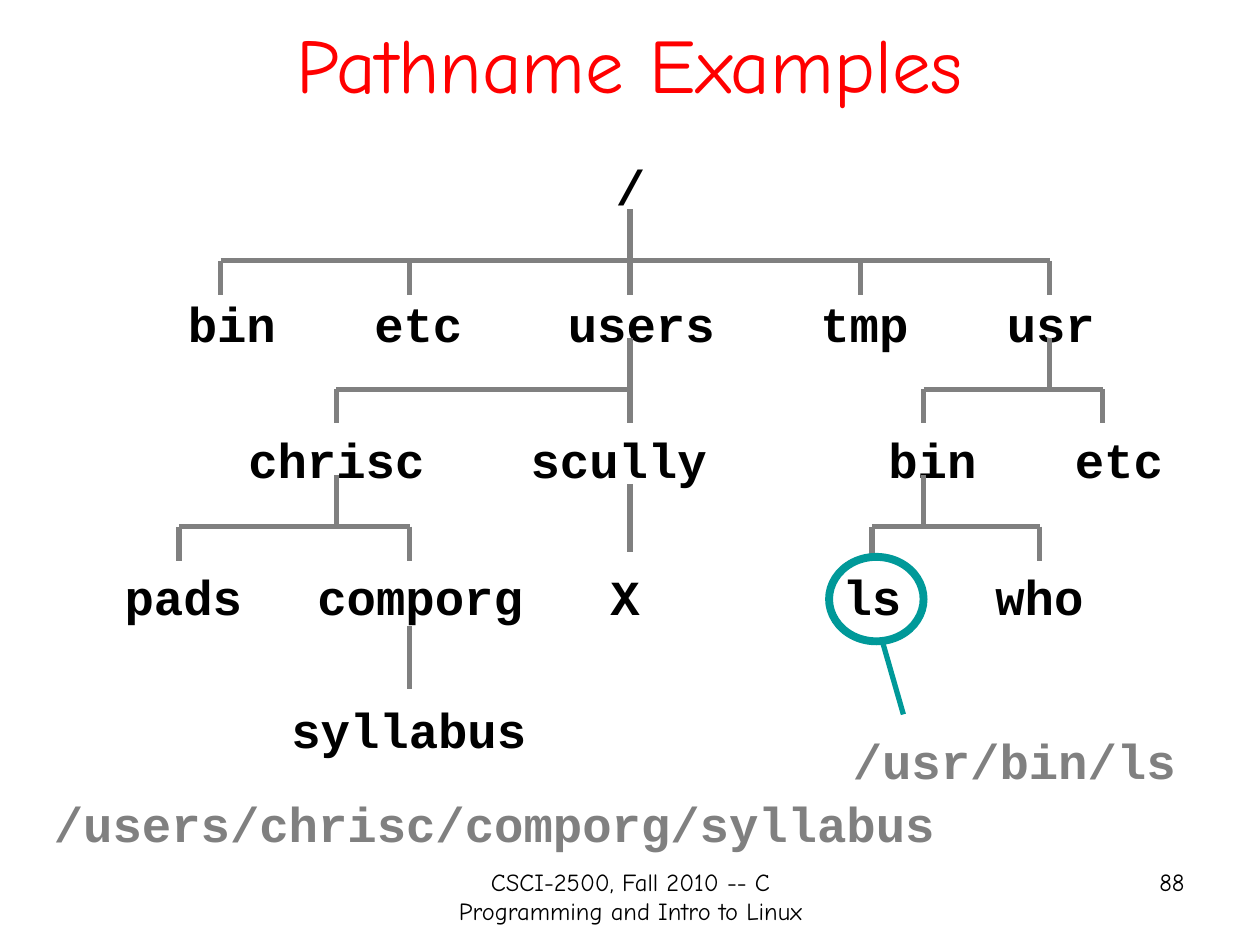
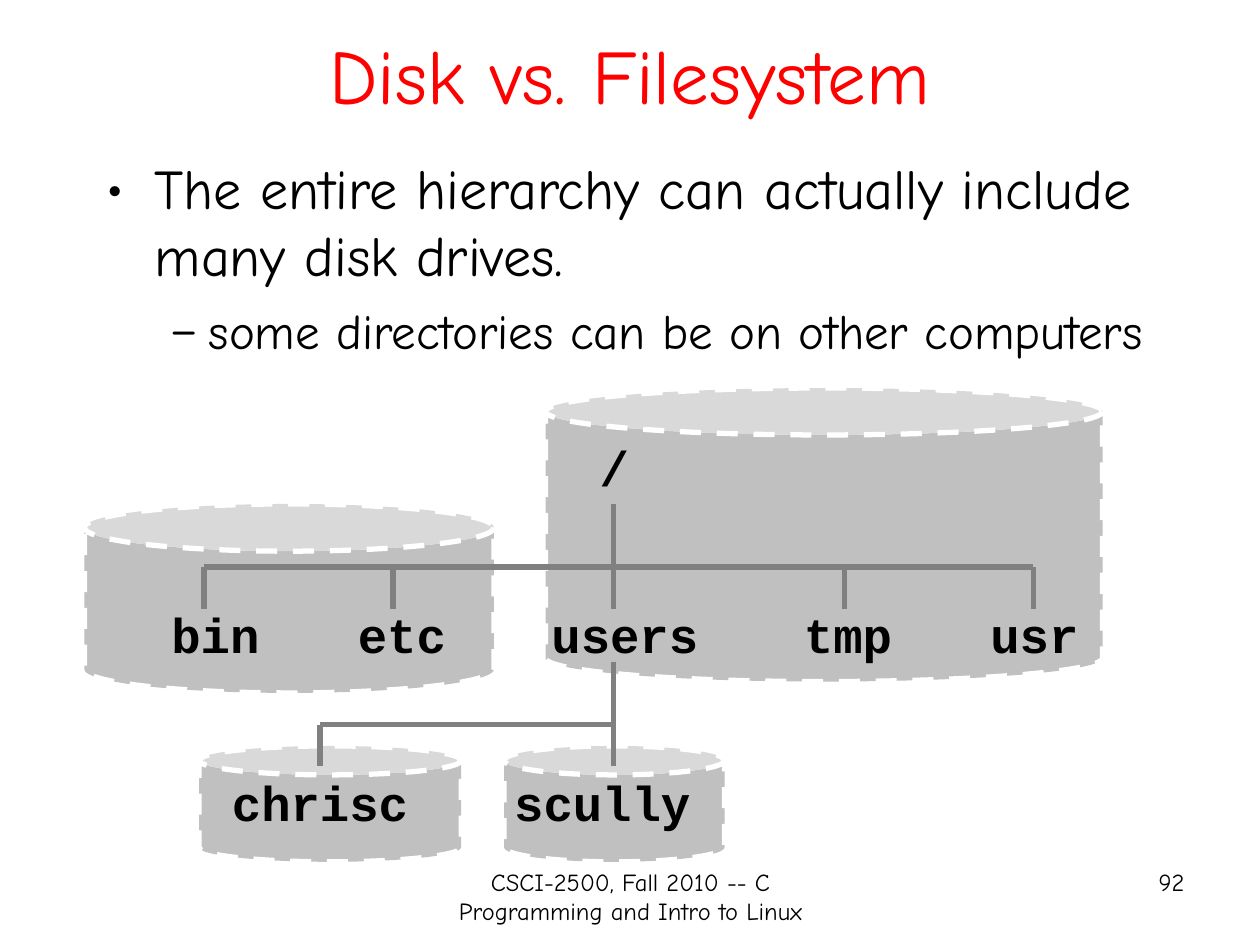
import lxml.etree
import pptx
import pptx.dml.color
import pptx.enum.dml
import pptx.enum.shapes
import pptx.enum.text
import pptx.oxml.ns
import pptx.util

PX = 9144  # EMU per px, 100 px to the inch

WHITE = pptx.dml.color.RGBColor(0xFF, 0xFF, 0xFF)
BLACK = pptx.dml.color.RGBColor(0x00, 0x00, 0x00)
RED = pptx.dml.color.RGBColor(0xFF, 0x00, 0x00)
GRAY = pptx.dml.color.RGBColor(0x80, 0x80, 0x80)
SILVER = pptx.dml.color.RGBColor(0xC0, 0xC0, 0xC0)
TEAL = pptx.dml.color.RGBColor(0x00, 0x99, 0x99)

PROSE = "Comic Neue"
CODE = "Courier New"
FOOTER = "CSCI-2500, Fall 2010 -- C Programming and Intro to Linux"
LABEL_HEIGHT = 57

SHAPE = pptx.enum.shapes.MSO_SHAPE
ALIGN = pptx.enum.text.PP_ALIGN
ANCHOR = pptx.enum.text.MSO_ANCHOR
qn = pptx.oxml.ns.qn


def emu(*lengths):
    return [pptx.util.Emu(length * PX) for length in lengths]


def set_font(paragraph, name, size, color, bold=False):
    font = paragraph.font
    font.name, font.size, font.bold = name, pptx.util.Pt(size), bold
    font.color.rgb = color


def add_text(slide, box, text, font, size, color=BLACK, bold=False,
             align=ALIGN.CENTER, anchor=ANCHOR.TOP):
    frame = slide.shapes.add_textbox(*emu(*box)).text_frame
    frame.word_wrap = True
    frame.vertical_anchor = anchor
    paragraph = frame.paragraphs[0]
    paragraph.text = text
    paragraph.alignment = align
    set_font(paragraph, font, size, color, bold)


def add_labels(slide, left, top, names):
    """Write a row of directory names, each given as (name, offset, width)."""
    for name, offset, width in names:
        add_text(slide, (left + offset, top, width, LABEL_HEIGHT), name, CODE, 28, bold=True)


def add_path(slide, left, top, width, pathname):
    add_text(slide, (left, top, width, LABEL_HEIGHT), pathname, CODE, 28, GRAY,
             bold=True, align=ALIGN.LEFT)


def add_line(slide, x1, y1, x2, y2, color=GRAY):
    line = slide.shapes.add_connector(
        pptx.enum.shapes.MSO_CONNECTOR.STRAIGHT, *emu(x1, y1, x2, y2))
    line.line.color.rgb = color
    line.line.width = pptx.util.Pt(3)
    lxml.etree.SubElement(line._element.spPr, qn("a:effectLst"))


def add_branch(slide, parent_x, top, stem, twig, child_xs):
    """Draw a stem down from the parent, a crossbar and a twig to each child."""
    bar = top + stem
    add_line(slide, parent_x, top, parent_x, bar)
    add_line(slide, min(parent_x, *child_xs), bar, max(parent_x, *child_xs), bar)
    for x in child_xs:
        add_line(slide, x, bar, x, bar + twig)


def add_upper_tree(slide, left, label_tops, stem_tops, stem, twig):
    """Draw the root, its directories and the user homes, from the left edge."""
    rows = [
        [("/", 329, 67)],
        [("bin", 0, 92), ("etc", 148, 92), ("users", 296, 150),
         ("tmp", 502, 92), ("usr", 650, 92)],
        [("chrisc", 29, 200), ("scully", 254, 198)],
    ]
    for top, names in zip(label_tops, rows):
        add_labels(slide, left, top, names)
    trunk = left + 362
    for top, offsets in zip(stem_tops, [(37, 187, 362, 545, 695), (129, 362)]):
        add_branch(slide, trunk, top, stem, twig, [left + x for x in offsets])


def add_disk(slide, left, top, width, height, rim=0.25):
    disk = slide.shapes.add_shape(SHAPE.CAN, *emu(left, top, width, height))
    disk.shadow.inherit = False
    disk.adjustments[0] = rim
    disk.fill.solid()
    disk.fill.fore_color.rgb = SILVER
    disk.line.color.rgb = WHITE
    disk.line.width = pptx.util.Pt(3)
    disk.line.dash_style = pptx.enum.dml.MSO_LINE.DASH


def add_highlight(slide, left, top, width, height):
    """Ring a name and point from it to its full path."""
    ring = slide.shapes.add_shape(SHAPE.OVAL, *emu(left, top, width, height))
    ring.shadow.inherit = False
    ring.fill.background()
    ring.line.color.rgb = TEAL
    ring.line.width = pptx.util.Pt(4.5)
    add_line(slide, left + 42, top + height - 1, left + 59, top + height + 58, TEAL)


def add_bullets(slide, box, items):
    """Write items given as (text, level, mark, size, margin, hang, space before)."""
    frame = slide.shapes.add_textbox(*emu(*box)).text_frame
    frame.word_wrap = True
    for index, (text, level, mark, size, margin, hang, before) in enumerate(items):
        paragraph = frame.add_paragraph() if index else frame.paragraphs[0]
        paragraph.text = text
        paragraph.level = level
        properties = paragraph._p.get_or_add_pPr()
        properties.set("marL", str(margin * PX))
        properties.set("indent", str(-hang * PX))
        lxml.etree.SubElement(properties, qn("a:buFont"), typeface=PROSE)
        lxml.etree.SubElement(properties, qn("a:buChar"), char=mark)
        if index:
            paragraph.space_before = pptx.util.Pt(before)
        set_font(paragraph, PROSE, size, BLACK)


def new_slide(deck, title, title_height, number):
    slide = deck.slides.add_slide(deck.slide_layouts[6])
    add_text(slide, (342, 683, 317, 52), FOOTER, PROSE, 14)
    add_text(slide, (717, 683, 233, 52), number, PROSE, 14, align=ALIGN.RIGHT)
    add_text(slide, (75, 25, 850, title_height), title, PROSE, 44, RED, anchor=ANCHOR.MIDDLE)
    return slide


def build_pathnames(deck):
    slide = new_slide(deck, "Pathname Examples", 50, "88")
    left, stem, twig = 138, 41, 27
    add_upper_tree(slide, left, (119, 228, 336), (166, 268), stem, twig)
    add_labels(slide, left, 336, [("bin", 556, 92), ("etc", 704, 92)])
    add_labels(slide, left, 445, [
        ("pads", -105, 225), ("comporg", 104, 183), ("X", 312, 92),
        ("ls", 479, 150), ("who", 612, 150)])
    add_labels(slide, left, 550, [("syllabus", 70, 233)])

    add_branch(slide, 833, 268, stem, twig, (733, 875))
    add_branch(slide, 267, 377, stem, twig, (142, 325))
    add_branch(slide, 733, 377, stem, twig, (692, 825))
    add_line(slide, 500, 384, 500, 438)
    add_line(slide, 325, 497, 325, 547)

    add_highlight(slide, 658, 442, 75, 67)
    add_path(slide, 667, 575, 300, "/usr/bin/ls")
    add_path(slide, 33, 625, 740, "/users/chrisc/comporg/syllabus")


def build_disks(deck):
    slide = new_slide(deck, "Disk vs. Filesystem", 67, "92")
    add_bullets(slide, (75, 117, 850, 183), [
        ("The entire hierarchy can actually include many disk drives.",
         0, "•", 32, 38, 38, 0),
        ("some directories can be on other computers", 1, "–", 28, 81, 31, 7),
    ])
    add_disk(slide, 433, 308, 442, 233, rim=0.16)
    add_disk(slide, 400, 592, 175, 92)
    add_disk(slide, 158, 592, 208, 92)
    add_disk(slide, 67, 400, 325, 150)
    add_upper_tree(slide, 125, (342, 475, 608), (400, 525), stem=50, twig=33)


def main():
    deck = pptx.Presentation()
    deck.slide_width, deck.slide_height = emu(1000, 750)
    build_pathnames(deck)
    build_disks(deck)
    deck.save("out.pptx")


if __name__ == "__main__":
    main()
